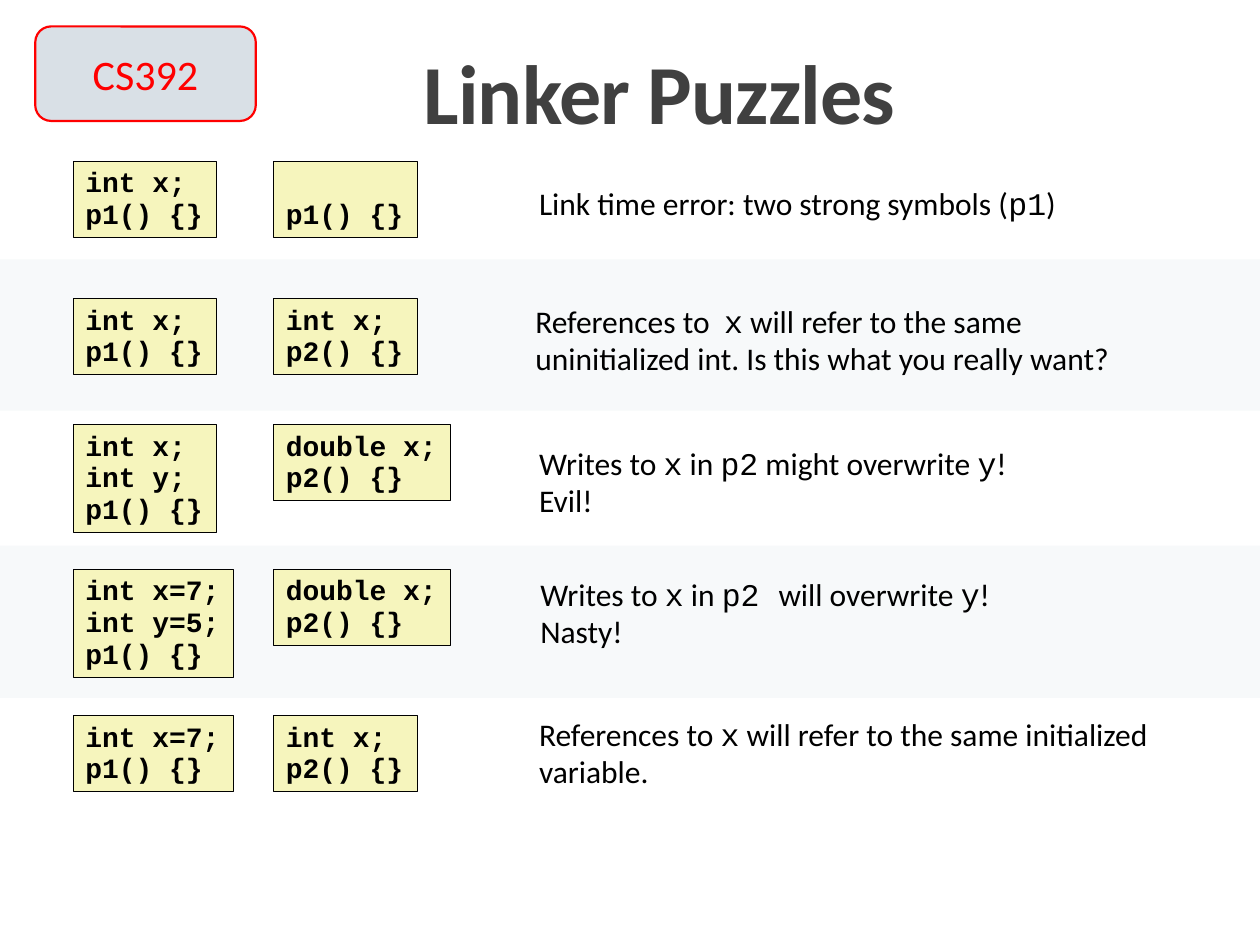
from pptx import Presentation
from pptx.dml.color import RGBColor
from pptx.enum.shapes import MSO_SHAPE
from pptx.enum.text import MSO_ANCHOR, MSO_AUTO_SIZE, PP_ALIGN
from pptx.util import Inches, Pt

RECTANGLE, ROUNDED = MSO_SHAPE.RECTANGLE, MSO_SHAPE.ROUNDED_RECTANGLE
TOP, MIDDLE, BOTTOM = MSO_ANCHOR.TOP, MSO_ANCHOR.MIDDLE, MSO_ANCHOR.BOTTOM
FIT, FIXED = MSO_AUTO_SIZE.SHAPE_TO_FIT_TEXT, MSO_AUTO_SIZE.NONE
LEFT, CENTER = PP_ALIGN.LEFT, PP_ALIGN.CENTER

BODY_FONT, CODE_FONT = "Calibri", "Courier New"
BLACK, RED, BAND_FILL, CODE_FILL = "000000", "FF0000", "F7F9FA", "F6F5BD"
LEFT_MODULE, RIGHT_MODULE = 0.58, 2.17
CHARACTER_WIDTH, LINE_HEIGHT = 0.134, 0.252

TITLE_FORMAT = {"name": BODY_FONT, "size": Pt(48), "bold": True}
BADGE_FORMAT = {"name": BODY_FONT, "size": Pt(24)}
CODE_FORMAT = {"name": CODE_FONT, "size": Pt(16), "bold": True}
NOTE_FORMAT = {"name": BODY_FONT, "size": Pt(18)}

BANDS = [(2.06, 1.2), (4.33, 1.21)]

# Each puzzle: top of the code, left module, right module
PUZZLES = [
    (1.28, ["int x;", "p1() {}"], ["p1() {}"]),
    (2.37, ["int x;", "p1() {}"], ["int x;", "p2() {}"]),
    (3.37, ["int x;", "int y;", "p1() {}"], ["double x;", "p2() {}"]),
    (4.52, ["int x=7;", "int y=5;", "p1() {}"], ["double x;", "p2() {}"]),
    (5.68, ["int x=7;", "p1() {}"], ["int x;", "p2() {}"]),
]

# Each answer: box, lines; backticks enclose inline code
ANSWERS = [
    ((4.18, 1.43, 4.43, 0.4), ["Link time error: two strong symbols (`p1`)"]),
    ((4.15, 2.36, 4.81, 0.7), ["References to  `x` will refer to the same",
                               "uninitialized int. Is this what you really want?"]),
    ((4.18, 3.49, 3.95, 0.7), ["Writes to `x` in `p2` might overwrite `y`!", "Evil!"]),
    ((4.19, 4.53, 3.8, 0.7), ["Writes to `x` in `p2 `will overwrite `y`!", "Nasty!"]),
    ((4.18, 5.64, 5.09, 0.7), ["References to `x` will refer to the same initialized",
                               "variable."]),
]


def rgb(color):
    return RGBColor.from_string(color)


def add_box(slide, kind, box, fill, line=None, line_width=0):
    shape = slide.shapes.add_shape(kind, *map(Inches, box))
    shape.shadow.inherit = False
    shape.fill.solid()
    shape.fill.fore_color.rgb = rgb(fill)
    if line:
        shape.line.color.rgb = rgb(line)
        shape.line.width = Pt(line_width)
    else:
        shape.line.fill.background()
    return shape


def write_lines(shape, lines, font_format, color=BLACK, align=LEFT,
                spacing=1.0, anchor=TOP, fit=FIXED, wrap=False):
    frame = shape.text_frame
    frame.word_wrap = wrap
    frame.auto_size = fit
    frame.vertical_anchor = anchor
    for index, line in enumerate(lines):
        paragraph = frame.add_paragraph() if index else frame.paragraphs[0]
        paragraph.alignment = align
        paragraph.line_spacing = spacing
        for position, text in enumerate(line.split("`")):
            if not text:
                continue
            run = paragraph.add_run()
            run.text = text
            for name, value in font_format.items():
                setattr(run.font, name, value)
            run.font.color.rgb = rgb(color)
            if position % 2:
                run.font.name = CODE_FONT


def add_title(slide, text):
    shape = slide.shapes.add_textbox(*map(Inches, (0.47, 0.31, 9.53, 0.86)))
    write_lines(shape, [text], TITLE_FORMAT, "404040", CENTER, 0.85, BOTTOM, wrap=True)
    run = shape.text_frame.paragraphs[0].runs[0]
    run._r.get_or_add_rPr().set("spc", "-50")


def add_code(slide, left, top, lines):
    width = 0.2 + CHARACTER_WIDTH * max(map(len, lines))
    height = 0.1 + LINE_HEIGHT * max(len(lines), 2)
    shape = add_box(slide, RECTANGLE, (left, top, width, height), CODE_FILL, BLACK, 0.25)
    # A single line sits level with the second line of its neighbour
    anchor, fit = (BOTTOM, FIXED) if len(lines) == 1 else (TOP, FIT)
    write_lines(shape, lines, CODE_FORMAT, spacing=0.94, anchor=anchor, fit=fit)


def add_answer(slide, box, lines):
    shape = slide.shapes.add_textbox(*map(Inches, box))
    write_lines(shape, lines, NOTE_FORMAT, spacing=0.98, fit=FIT)


def add_badge(slide, text):
    shape = add_box(slide, ROUNDED, (0.28, 0.21, 1.75, 0.75), "D9E0E6", RED, 1.25)
    write_lines(shape, [text], BADGE_FORMAT, RED, CENTER, anchor=MIDDLE, wrap=True)


def main():
    presentation = Presentation()
    presentation.slide_width = Inches(10)
    presentation.slide_height = Inches(7.5)
    slide = presentation.slides.add_slide(presentation.slide_layouts[6])

    # Background bands and heading
    for top, height in BANDS:
        add_box(slide, RECTANGLE, (0, top, 10, height), BAND_FILL)
    add_title(slide, "Linker Puzzles")

    # Pairs of modules
    for top, left_lines, right_lines in PUZZLES:
        add_code(slide, LEFT_MODULE, top, left_lines)
        add_code(slide, RIGHT_MODULE, top, right_lines)

    # Explanations
    for box, lines in ANSWERS:
        add_answer(slide, box, lines)

    # Course badge
    add_badge(slide, "CS392")
    presentation.save("out.pptx")


if __name__ == "__main__":
    main()
